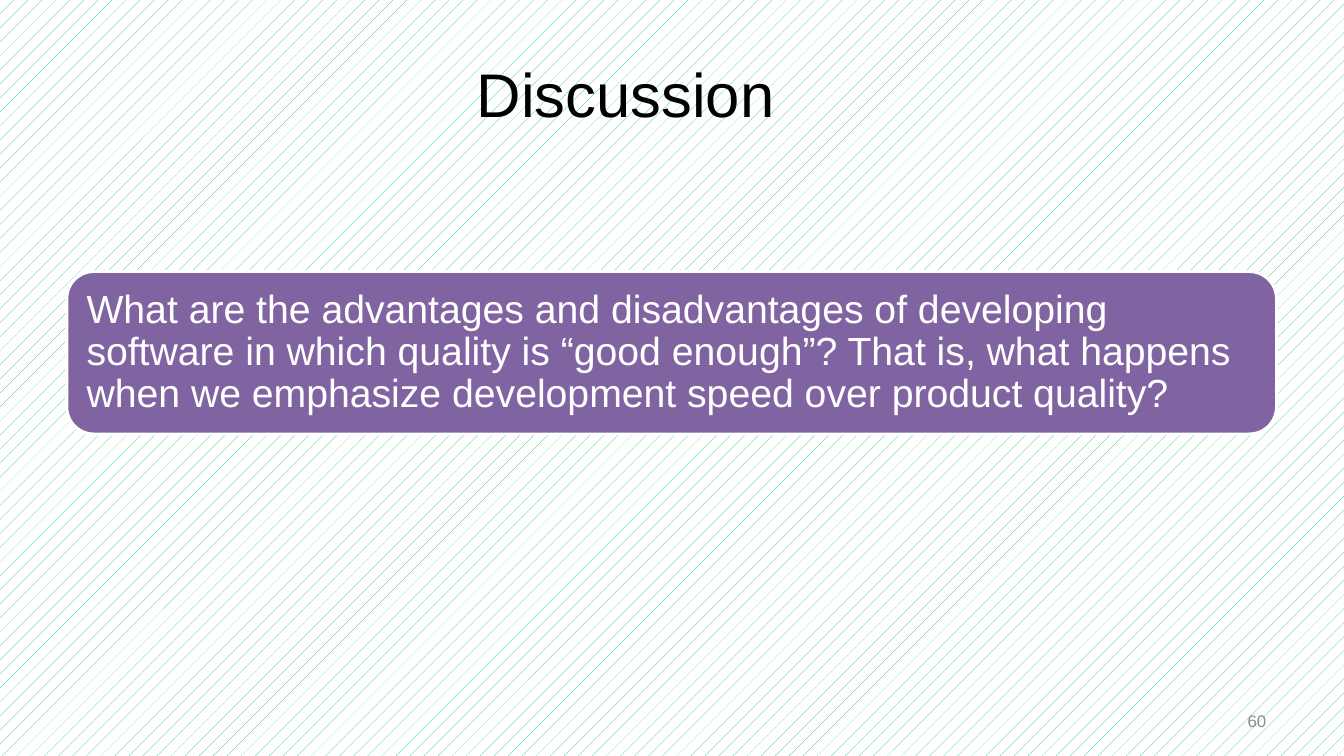
from pptx import Presentation
from pptx.dml.color import RGBColor
from pptx.enum.dml import MSO_PATTERN
from pptx.enum.shapes import MSO_SHAPE
from pptx.enum.text import MSO_ANCHOR, PP_ALIGN
from pptx.util import Pt

ROUNDED = MSO_SHAPE.ROUNDED_RECTANGLE
DOTS = MSO_PATTERN.PERCENT_5
MIDDLE = MSO_ANCHOR.MIDDLE
LEFT, CENTER, RIGHT = PP_ALIGN.LEFT, PP_ALIGN.CENTER, PP_ALIGN.RIGHT

FONT = "Arial"
TITLE_ONLY = 5
COLORS = {
    "pattern": "09C77A",
    "white": "FFFFFF",
    "black": "000000",
    "panel": "8064A2",
    "number": "8C8C8C",
}
QUESTION = (
    "What are the advantages and disadvantages of developing software in which "
    "quality is “good enough”? That is, what happens when we emphasize "
    "development speed over product quality?"
)


def color(name):
    return RGBColor.from_string(COLORS[name])


def write(shape, text, size, color_name, alignment, **frame_format):
    """Fill a shape with one formatted paragraph."""
    frame = shape.text_frame
    frame_format = {"word_wrap": True, "vertical_anchor": MIDDLE, **frame_format}
    for name, value in frame_format.items():
        setattr(frame, name, value)
    paragraph = frame.paragraphs[0]
    paragraph.text = text
    paragraph.alignment = alignment
    font = paragraph.runs[0].font
    for name, value in {"name": FONT, "size": Pt(size)}.items():
        setattr(font, name, value)
    font.color.rgb = color(color_name)
    return paragraph


def set_background(slide):
    fill = slide.background.fill
    fill.patterned()
    fill.pattern = DOTS
    fill.fore_color.rgb = color("pattern")
    fill.back_color.rgb = color("white")


def add_title(slide, text):
    title = slide.shapes.title
    box = {"left": 48, "top": 21.6, "width": 798, "height": 90}
    for name, value in box.items():
        setattr(title, name, Pt(value))
    write(title, text, 44, "black", CENTER)


def add_question(slide, text):
    panel = slide.shapes.add_shape(ROUNDED, Pt(47.8), Pt(194), Pt(864), Pt(116))
    panel.shadow.inherit = False
    panel.fill.solid()
    panel.fill.fore_color.rgb = color("panel")
    panel.line.color.rgb = color("white")
    panel.line.width = Pt(2)
    sides = ("left", "top", "right", "bottom")
    margins = {f"margin_{side}": Pt(8.4) for side in sides}
    paragraph = write(panel, text, 28, "white", LEFT, **margins)
    paragraph.line_spacing = 0.9


def add_slide_number(slide, text):
    box = slide.shapes.add_textbox(Pt(687.6), Pt(500.4), Pt(224), Pt(28.8))
    write(box, text, 12, "number", RIGHT)


def main():
    presentation = Presentation()
    presentation.slide_width = Pt(960)
    presentation.slide_height = Pt(540)
    slide = presentation.slides.add_slide(presentation.slide_layouts[TITLE_ONLY])

    set_background(slide)
    add_title(slide, "Discussion")
    add_question(slide, QUESTION)
    add_slide_number(slide, "60")

    presentation.save("out.pptx")


if __name__ == "__main__":
    main()
